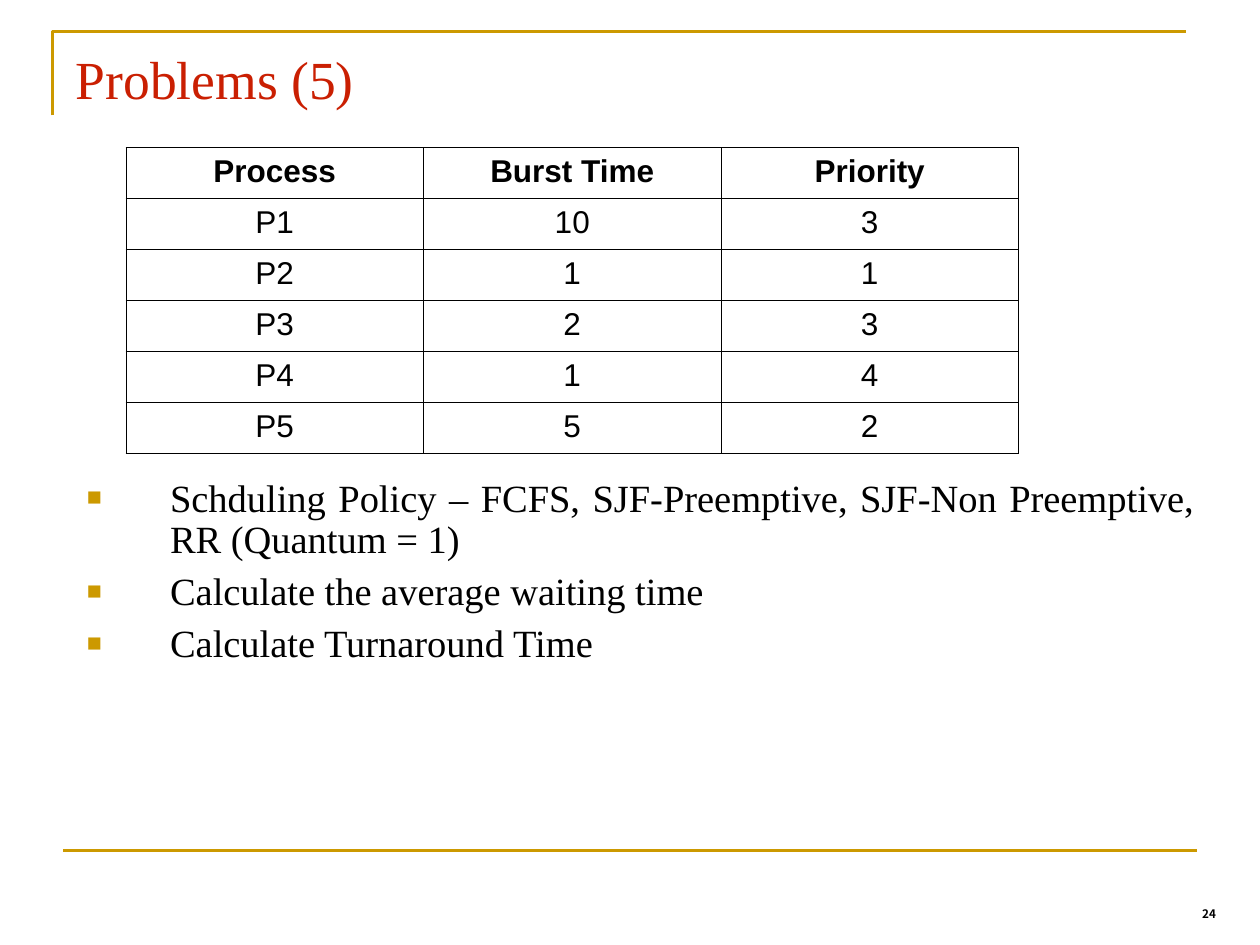
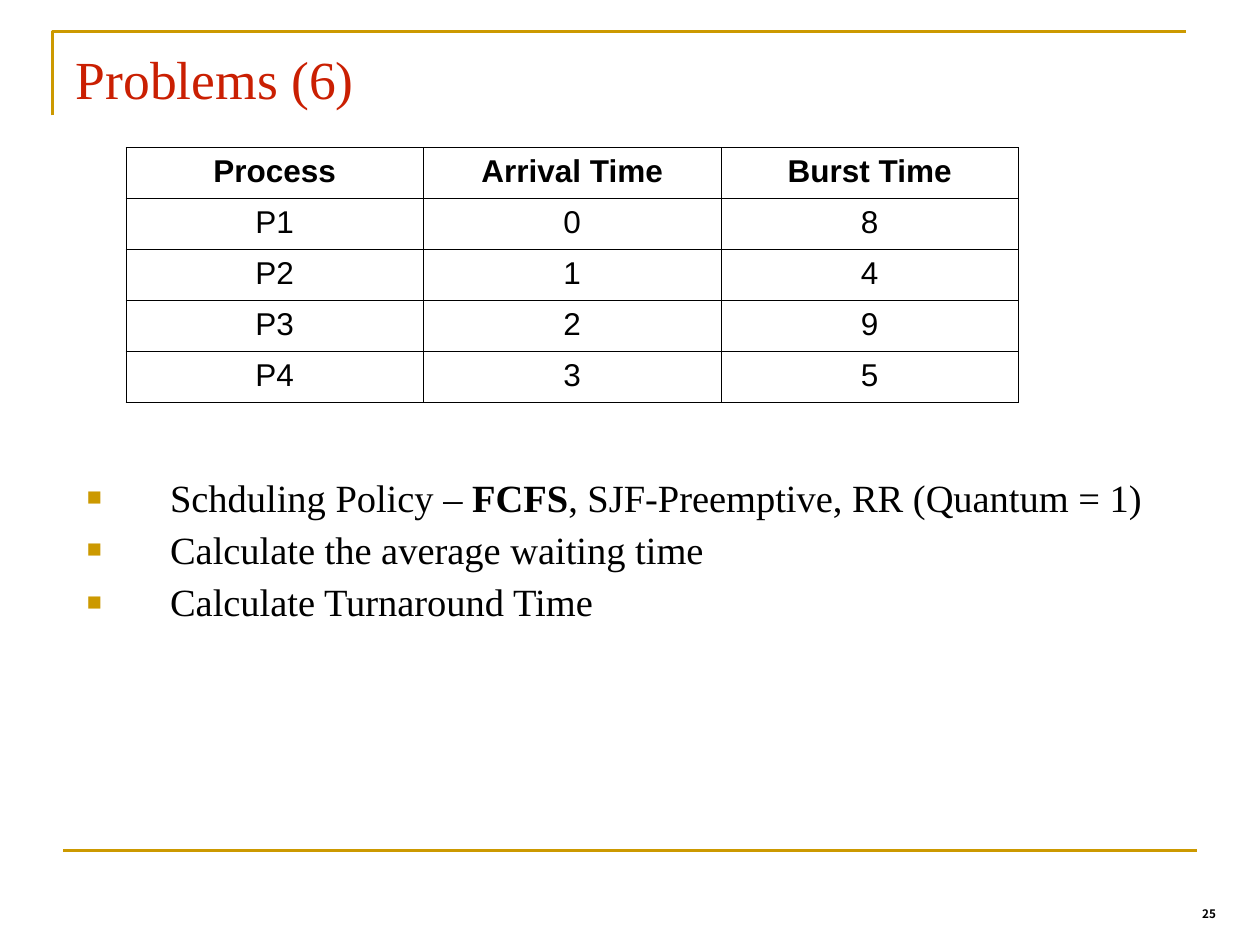
"""Build two scheduling problem slides, each with a process table and tasks."""
from dataclasses import dataclass

from lxml import etree
from pptx import Presentation
from pptx.dml.color import RGBColor
from pptx.enum.shapes import MSO_CONNECTOR
from pptx.enum.text import MSO_ANCHOR, MSO_AUTO_SIZE, PP_ALIGN
from pptx.oxml.ns import qn
from pptx.util import Pt

LEFT, CENTER = PP_ALIGN.LEFT, PP_ALIGN.CENTER
RIGHT, JUSTIFY = PP_ALIGN.RIGHT, PP_ALIGN.JUSTIFY
TOP, BOTTOM = MSO_ANCHOR.TOP, MSO_ANCHOR.BOTTOM
NO_AUTOFIT = MSO_AUTO_SIZE.NONE
STRAIGHT = MSO_CONNECTOR.STRAIGHT

GOLD, RED, BLACK, WHITE = "CC9900", "CA1F02", "000000", "FFFFFF"
RULE_WIDTH = 1.5
COLUMN_WIDTH, ROW_HEIGHT = 170, 29.16
BORDER_WIDTH = 0.45


@dataclass(frozen=True)
class Box:
    left: float
    top: float
    width: float
    height: float


@dataclass(frozen=True)
class TextStyle:
    font: str
    size: float
    color: str = BLACK
    bold: bool = False
    align: PP_ALIGN = LEFT
    line_spacing: float = 1.0


@dataclass(frozen=True)
class Problem:
    number: int
    page: int
    rows: list[tuple[str, ...]]
    policy: list[tuple[str, bool]]


TITLE_BOX = Box(36, 21.6, 648, 45.36)
TASKS_BOX = Box(31.68, 270, 658, 203.76)
PAGE_BOX = Box(552.24, 516.24, 149.76, 18)

TITLE_STYLE = TextStyle("Times New Roman", 30.6, RED, line_spacing=0.9)
TASK_STYLE = TextStyle("Times New Roman", 22, align=JUSTIFY, line_spacing=0.9)
PAGE_STYLE = TextStyle("Noto Sans CJK KR", 6.7, bold=True, align=RIGHT, line_spacing=0.8)
HEADER_STYLE = TextStyle("Arial", 18, bold=True, align=CENTER)
VALUE_STYLE = TextStyle("Arial", 18, align=CENTER)

SHARED_TASKS = ["Calculate the average waiting time", "Calculate Turnaround Time"]

PROBLEMS = [
    Problem(5, 24,
            [("Process", "Burst Time", "Priority"),
             ("P1", "10", "3"),
             ("P2", "1", "1"),
             ("P3", "2", "3"),
             ("P4", "1", "4"),
             ("P5", "5", "2")],
            [("Schduling Policy – FCFS, SJF-Preemptive, SJF-Non Preemptive, "
              "RR (Quantum = 1)", False)]),
    Problem(6, 25,
            [("Process", "Arrival Time", "Burst Time"),
             ("P1", "0", "8"),
             ("P2", "1", "4"),
             ("P3", "2", "9"),
             ("P4", "3", "5")],
            [("Schduling Policy – ", False), ("FCFS", True),
             (", SJF-Preemptive, RR (Quantum = 1)", False)]),
]


def rgb(color: str) -> RGBColor:
    return RGBColor.from_string(color)


def style_paragraph(paragraph, style: TextStyle, space_before: float = 0) -> None:
    paragraph.alignment = style.align
    paragraph.line_spacing = style.line_spacing
    paragraph.space_before = Pt(space_before)
    font = paragraph.font
    font.name, font.size, font.bold = style.font, Pt(style.size), style.bold
    font.color.rgb = rgb(style.color)


def place(shape, box: Box) -> None:
    shape.left, shape.top = Pt(box.left), Pt(box.top)
    shape.width, shape.height = Pt(box.width), Pt(box.height)


def prepare_frame(shape, anchor: MSO_ANCHOR):
    frame = shape.text_frame
    frame.word_wrap = True
    frame.auto_size = NO_AUTOFIT
    frame.vertical_anchor = anchor
    return frame


def add_square_bullet(paragraph) -> None:
    properties = paragraph._p.get_or_add_pPr()
    properties.set("marL", str(Pt(58.32)))
    properties.set("indent", str(Pt(-47.52)))
    bullet_color = etree.SubElement(properties, qn("a:buClr"))
    etree.SubElement(bullet_color, qn("a:srgbClr"), val=GOLD)
    etree.SubElement(properties, qn("a:buSzPct"), val="65000")
    etree.SubElement(properties, qn("a:buFont"), typeface="Arial")
    etree.SubElement(properties, qn("a:buChar"), char="■")


def add_rules(slide) -> None:
    builder = slide.shapes.build_freeform(Pt(30), Pt(66), scale=1.0)
    builder.add_line_segments([(Pt(30), Pt(18)), (Pt(678), Pt(18))], close=False)
    corner = builder.convert_to_shape()
    corner.shadow.inherit = False
    corner.fill.background()
    bottom = slide.shapes.add_connector(STRAIGHT, Pt(36), Pt(486), Pt(684), Pt(486))
    etree.SubElement(bottom._element.spPr, qn("a:effectLst"))
    for rule in (corner, bottom):
        rule.line.color.rgb = rgb(GOLD)
        rule.line.width = Pt(RULE_WIDTH)


def add_page_number(slide, page: int) -> None:
    box = slide.shapes.add_textbox(0, 0, 0, 0)
    place(box, PAGE_BOX)
    paragraph = prepare_frame(box, TOP).paragraphs[0]
    paragraph.text = str(page)
    style_paragraph(paragraph, PAGE_STYLE)


def fill_title(slide, number: int) -> None:
    title = slide.shapes.title
    place(title, TITLE_BOX)
    paragraph = prepare_frame(title, BOTTOM).paragraphs[0]
    paragraph.text = f"Problems ({number})"
    style_paragraph(paragraph, TITLE_STYLE)


def add_borders(cell) -> None:
    properties = cell._tc.get_or_add_tcPr()
    for side in ("lnL", "lnR", "lnT", "lnB"):
        border = etree.SubElement(properties, qn(f"a:{side}"), w=str(Pt(BORDER_WIDTH)))
        fill = etree.SubElement(border, qn("a:solidFill"))
        etree.SubElement(fill, qn("a:srgbClr"), val=BLACK)


def add_process_table(slide, rows: list[tuple[str, ...]]) -> None:
    columns = len(rows[0])
    table = slide.shapes.add_table(
        len(rows), columns, Pt(72), Pt(84.24),
        Pt(columns * COLUMN_WIDTH), Pt(len(rows) * ROW_HEIGHT)).table
    for row_index, values in enumerate(rows):
        for column_index, value in enumerate(values):
            cell = table.cell(row_index, column_index)
            add_borders(cell)
            cell.fill.solid()
            cell.fill.fore_color.rgb = rgb(WHITE)
            paragraph = cell.text_frame.paragraphs[0]
            paragraph.text = value
            style_paragraph(paragraph, VALUE_STYLE if row_index else HEADER_STYLE)


def fill_tasks(slide, policy: list[tuple[str, bool]]) -> None:
    body = slide.placeholders[1]
    place(body, TASKS_BOX)
    frame = prepare_frame(body, TOP)
    tasks = [policy] + [[(task, False)] for task in SHARED_TASKS]
    for index, pieces in enumerate(tasks):
        paragraph = frame.add_paragraph() if index else frame.paragraphs[0]
        add_square_bullet(paragraph)
        style_paragraph(paragraph, TASK_STYLE, space_before=6 if index else 0)
        for text, bold in pieces:
            run = paragraph.add_run()
            run.text = text
            if bold:
                run.font.bold = True


def add_problem_slide(presentation, problem: Problem) -> None:
    slide = presentation.slides.add_slide(presentation.slide_layouts[1])
    add_rules(slide)
    add_page_number(slide, problem.page)
    fill_title(slide, problem.number)
    add_process_table(slide, problem.rows)
    fill_tasks(slide, problem.policy)


def main() -> None:
    presentation = Presentation()
    presentation.slide_width, presentation.slide_height = Pt(720), Pt(540)
    for problem in PROBLEMS:
        add_problem_slide(presentation, problem)
    presentation.save("out.pptx")


if __name__ == "__main__":
    main()
